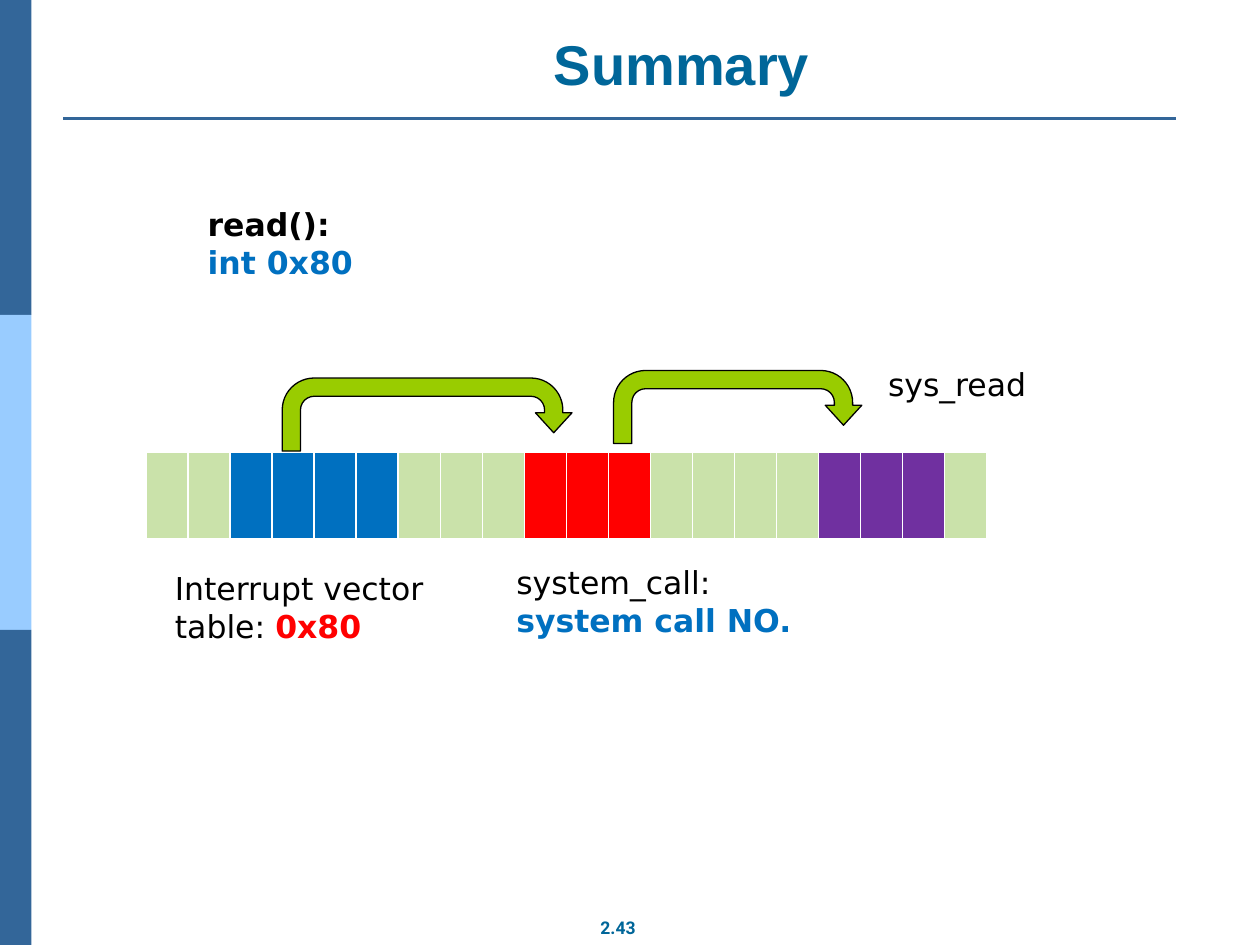
from lxml import etree
from pptx import Presentation
from pptx.dml.color import RGBColor
from pptx.enum.shapes import MSO_CONNECTOR, MSO_SHAPE
from pptx.enum.text import MSO_ANCHOR, MSO_AUTO_SIZE, PP_ALIGN
from pptx.oxml.ns import qn
from pptx.util import Inches, Pt

RECT, UTURN = MSO_SHAPE.RECTANGLE, MSO_SHAPE.U_TURN_ARROW
CENTER, BOTTOM = PP_ALIGN.CENTER, MSO_ANCHOR.BOTTOM

BLACK, WHITE, RED, BLUE = "000000", "FFFFFF", "FF0000", "0070C0"
TEAL, NAVY, SKY, LIME = "006699", "336699", "99CCFF", "99CC00"
PALE_GREEN, PURPLE = "CAE2AA", "7030A0"

SIDE_BAND = [NAVY, SKY, NAVY]
# Runs of equal memory cells: (count, colour)
MEMORY = [(2, PALE_GREEN), (4, BLUE), (3, PALE_GREEN), (3, RED),
          (4, PALE_GREEN), (3, PURPLE), (1, PALE_GREEN)]
ARROWS = [(2.24, 3, 2.3, 0.58), (4.87, 2.94, 1.97, 0.58)]
ARROW_ADJUSTMENTS = [0.25, 0.25, 0.274, 0.438, 0.75]
# (box, paragraphs of (text, colour, bold) runs)
LABELS = [
    ((1.29, 4.47, 2.93, 0.71),
     [[("Interrupt vector table: ", BLACK, False), ("0x80", RED, True)]]),
    ((4, 4.42, 3.67, 0.71),
     [[("system_call:", BLACK, False)], [("system call NO.", BLUE, True)]]),
    ((6.95, 2.85, 3.67, 0.71), [[("sys_read", BLACK, False)]]),
    ((1.55, 1.58, 3.67, 1.01),
     [[("read():", BLACK, True)], [("int 0x80", BLUE, True)]]),
]


def rgb(value):
    return RGBColor.from_string(value)


def inches(*values):
    return [Inches(v) for v in values]


def style(font, name, size, color, bold):
    font.name, font.size, font.bold = name, Pt(size), bold
    font.color.rgb = rgb(color)


def add_shape(slide, kind, box, fill, line=None):
    sp = slide.shapes.add_shape(kind, *inches(*box))
    sp.shadow.inherit = False
    sp.fill.solid()
    sp.fill.fore_color.rgb = rgb(fill)
    if line:
        sp.line.color.rgb = rgb(line)
        sp.line.width = Pt(0.75)
    else:
        sp.line.fill.background()
    return sp


def set_borders(cell, widths):
    """Draw white cell borders; widths maps a side (L, R, T, B) to points."""
    tc_pr = cell._tc.get_or_add_tcPr()
    for i, (side, width) in enumerate(widths.items()):
        ln = etree.Element(qn(f"a:ln{side}"), w=str(Pt(width)))
        fill = etree.SubElement(ln, qn("a:solidFill"))
        etree.SubElement(fill, qn("a:srgbClr"), val=WHITE)
        tc_pr.insert(i, ln)


def add_memory(slide):
    colors = [color for count, color in MEMORY for _ in range(count)]
    table = slide.shapes.add_table(
        1, len(colors), *inches(1.16, 3.59, 6.67, 0.7)).table
    for column, cell, color in zip(table.columns, table.rows[0].cells, colors):
        column.width = Inches(6.67 / len(colors))
        cell.fill.solid()
        cell.fill.fore_color.rgb = rgb(color)
        set_borders(cell, {"L": 1, "R": 1, "T": 1, "B": 3})


def add_label(slide, box, paragraphs):
    tf = slide.shapes.add_textbox(*inches(*box)).text_frame
    tf.word_wrap = True
    for i, runs in enumerate(paragraphs):
        p = tf.add_paragraph() if i else tf.paragraphs[0]
        for text, color, bold in runs:
            r = p.add_run()
            r.text = text
            style(r.font, "DejaVu Sans", 18, color, bold)


def add_frame(slide):
    """Side band, rule under the title and page number."""
    for i, color in enumerate(SIDE_BAND):
        add_shape(slide, RECT, (0, 2.5 * i, 0.25, 2.5), color)
    rule = slide.shapes.add_connector(
        MSO_CONNECTOR.STRAIGHT, *inches(0.5, 0.94, 9.33, 0.94))
    rule.line.color.rgb = rgb(NAVY)
    rule.line.width = Pt(1.5)
    etree.SubElement(rule._element.spPr, qn("a:effectLst"))

    tf = slide.shapes.add_textbox(*inches(4.66, 7.23, 0.49, 0.27)).text_frame
    tf.word_wrap = False
    tf.auto_size = MSO_AUTO_SIZE.SHAPE_TO_FIT_TEXT
    p = tf.paragraphs[0]
    p.text = "2.43"
    p.alignment = CENTER
    style(p.runs[0].font, "Roboto", 10, TEAL, True)


def add_title(slide, text):
    title = slide.shapes.title
    title.left, title.top, title.width, title.height = inches(1.16, -0.1, 8.5, 0.92)
    tf = title.text_frame
    tf.text = text
    tf.vertical_anchor = BOTTOM
    p = tf.paragraphs[0]
    p.alignment = CENTER
    style(p.runs[0].font, "Arial", 32, TEAL, True)


def main():
    prs = Presentation()
    prs.slide_width, prs.slide_height = inches(10, 7.5)
    slide = prs.slides.add_slide(prs.slide_layouts[5])
    add_frame(slide)
    add_title(slide, "Summary")
    add_memory(slide)
    for box in ARROWS:
        arrow = add_shape(slide, UTURN, box, LIME, BLACK)
        for i, value in enumerate(ARROW_ADJUSTMENTS):
            arrow.adjustments[i] = value
    for box, paragraphs in LABELS:
        add_label(slide, box, paragraphs)
    prs.save("out.pptx")


if __name__ == "__main__":
    main()
